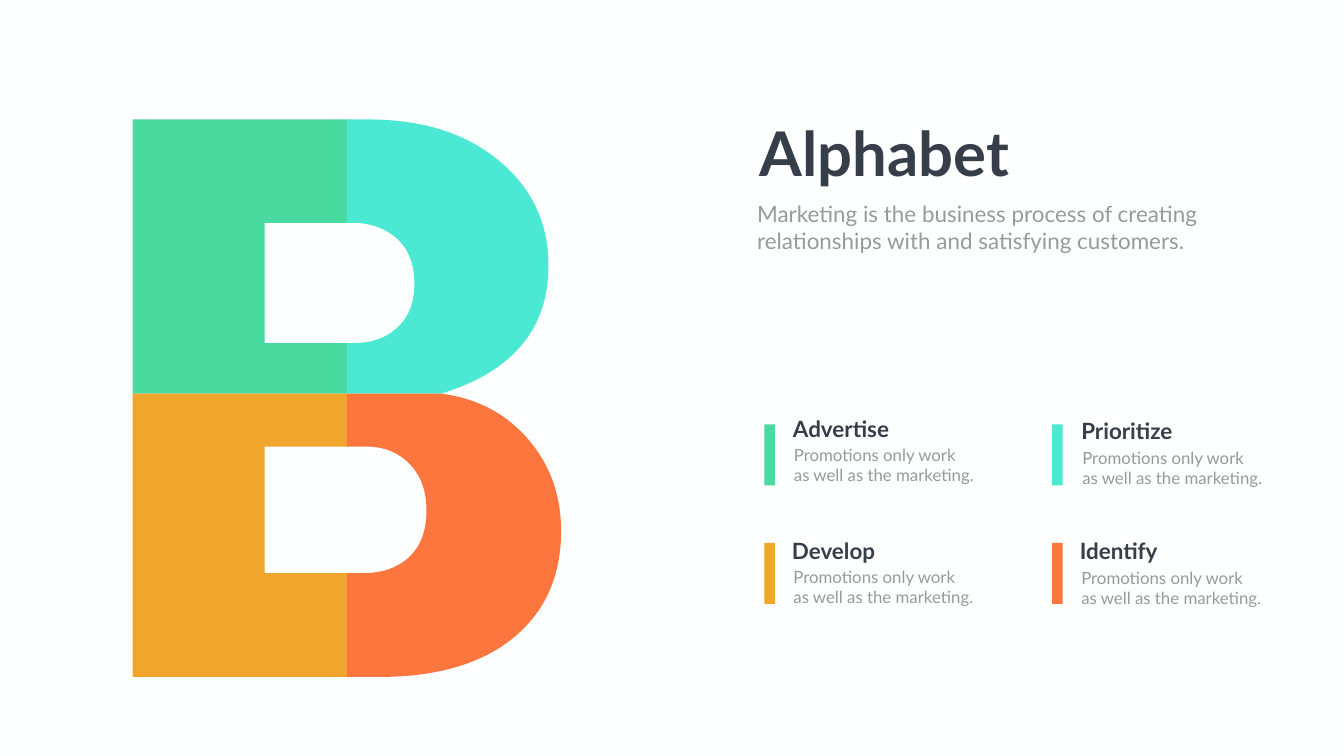
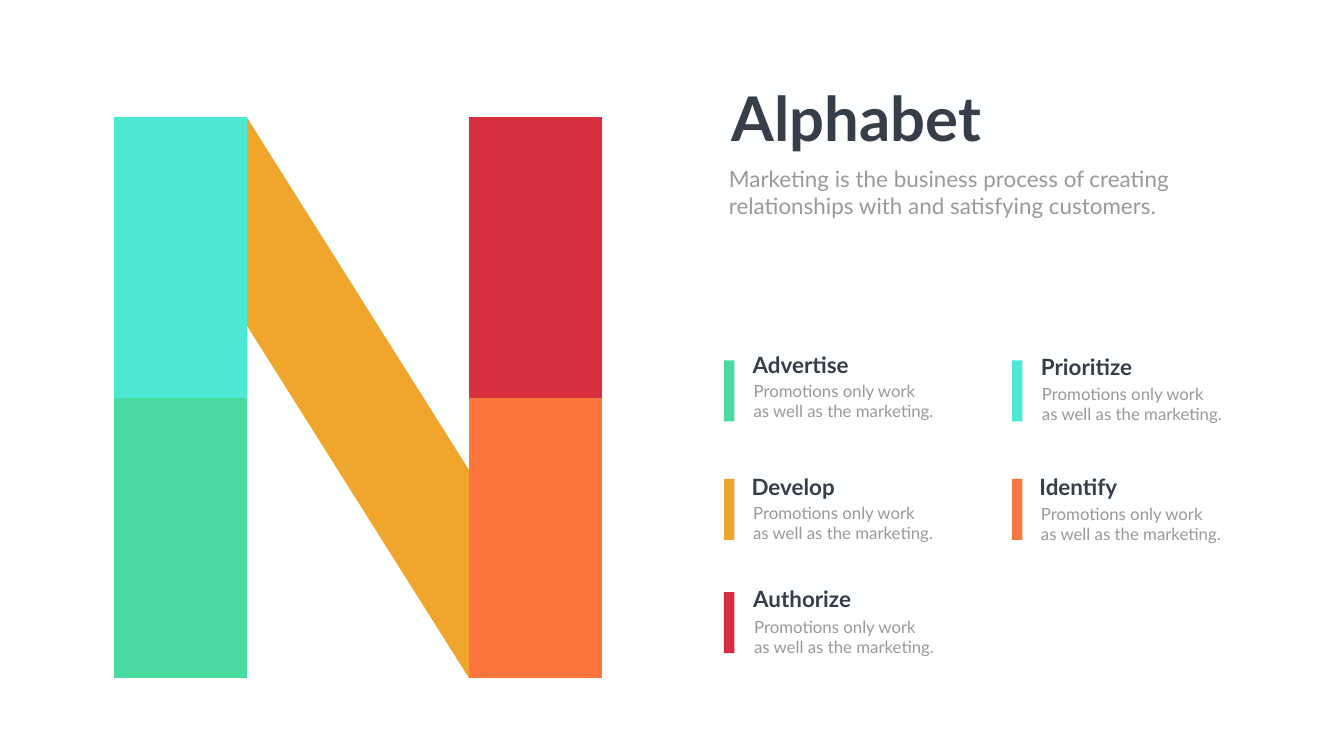
from lxml import etree
from pptx import Presentation
from pptx.dml.color import RGBColor
from pptx.enum.shapes import MSO_SHAPE
from pptx.enum.text import MSO_ANCHOR, MSO_AUTO_SIZE, PP_ALIGN
from pptx.oxml.ns import qn
from pptx.util import Pt

RECTANGLE = MSO_SHAPE.RECTANGLE
TOP = MSO_ANCHOR.TOP
NO_AUTOFIT = MSO_AUTO_SIZE.NONE
LEFT, CENTER = PP_ALIGN.LEFT, PP_ALIGN.CENTER

PX = 9144  # 100 px to the inch
TITLE_ONLY = 5

PAPER, INK, GREY = "FEFFFF", "353E49", "989998"
GREEN, AQUA, AMBER = "48DA9F", "4BE8D4", "F0A52C"
ORANGE, RED = "FD763E", "D92E3D"

INTRO = ["Marketing is the business process of creating",
         "relationships with and satisfying customers."]
DETAIL = ["Promotions only work", "as well as the marketing."]

# Heading, colour, column, row, heading offset and detail offset from the bar
TOPICS = [
    ("Advertise", GREEN, 0, 0, (47, -24), (49, 36)),
    ("Prioritize", AQUA, 1, 0, (48, -20), (50, 41)),
    ("Develop", AMBER, 0, 1, (45, -17), (48, 43)),
    ("Identify", ORANGE, 1, 1, (45, -17), (48, 44)),
    ("Authorize", RED, 0, 2, (48, -19), (50, 43)),
]
COLUMN_STEP = 571
ROW_OFFSETS = [0, 235, 460]
BAR_WIDTH, BAR_HEIGHT = 21, 121

# Letter outlines: pairs are corners, sixes are Bézier curves
LETTER_B = [
    (AQUA, [(688, 442), (697, 442),
            (734, 442, 765, 453, 787, 473), (810, 493, 822, 524, 822, 563),
            (822, 602, 810, 631, 787, 651), (765, 672, 734, 681, 697, 681),
            (688, 681), (688, 781), (875, 781),
            (1018, 737, 1088, 652, 1088, 527),
            (1088, 444, 1056, 374, 991, 320), (926, 265, 839, 237, 730, 237),
            (688, 237)]),
    (ORANGE, [(688, 781), (878, 781), (881, 782),
              (951, 792, 1006, 823, 1049, 873),
              (1092, 924, 1113, 984, 1113, 1054),
              (1113, 1142, 1082, 1213, 1019, 1265),
              (957, 1316, 868, 1343, 756, 1343),
              (688, 1343), (688, 1137), (722, 1137),
              (758, 1137, 788, 1127, 812, 1105),
              (835, 1083, 846, 1052, 846, 1013),
              (846, 974, 835, 944, 813, 921), (791, 898, 762, 886, 726, 886),
              (688, 886)]),
    (GREEN, [(263, 781), (688, 781), (688, 681), (525, 681),
             (525, 442), (688, 442), (688, 237), (263, 237)]),
    (AMBER, [(263, 781), (263, 1343), (688, 1343), (688, 1137),
             (525, 1137), (525, 886), (688, 886), (688, 781)]),
]
LETTER_N = [(AMBER, [(489, 232), (489, 645), (930, 1345), (930, 932)])]
for colour, left, top, bottom in [(AQUA, 226, 232, 790), (GREEN, 226, 790, 1345),
                                  (RED, 930, 232, 790), (ORANGE, 930, 790, 1345)]:
    right = left + 264
    LETTER_N.append((colour, [(left, top), (right, top),
                              (right, bottom), (left, bottom)]))

# Letter, title corner, first bar corner, number of topics
PAGES = [
    (LETTER_B, (1492, 223), (1516, 842), 4),
    (LETTER_N, (1436, 154), (1436, 715), 5),
]


def paint(fill, colour):
    fill.solid()
    fill.fore_color.rgb = RGBColor.from_string(colour)


def write(box, place, lines, size, colour, bold=False, align=LEFT, wrap=True):
    box.left, box.top, box.width, box.height = [value * PX for value in place]
    frame = box.text_frame
    frame.text = "\n".join(lines)
    frame.word_wrap = wrap
    frame.auto_size = NO_AUTOFIT
    frame.vertical_anchor = TOP
    for paragraph in frame.paragraphs:
        paragraph.alignment = align
        paragraph.font.name = "Lato"
        paragraph.font.size = Pt(size)
        paragraph.font.bold = bold
        paint(paragraph.font.fill, colour)


deck = Presentation()
deck.slide_width, deck.slide_height = 2666 * PX, 1500 * PX

for letter, (title_x, title_y), (bars_x, bars_y), topic_count in PAGES:
    slide = deck.slides.add_slide(deck.slide_layouts[TITLE_ONLY])
    shapes = slide.shapes
    paint(slide.background.fill, PAPER)
    colored_parts = []

    # Large letter
    for colour, outline in letter:
        corners = [step[-2:] for step in outline]
        builder = shapes.build_freeform(*corners[0], scale=PX)
        builder.add_line_segments(corners[1:], close=True)
        piece = builder.convert_to_shape()
        colored_parts.append((piece, colour))

        # Bend the curved sides by adding their two control points
        min_x = min(x for x, y in corners)
        min_y = min(y for x, y in corners)
        sides = list(piece.element.iter(qn("a:lnTo")))
        for side, step in zip(sides, outline[1:]):
            if len(step) == 6:
                side.tag = qn("a:cubicBezTo")
                for i in (0, 1):
                    x, y = step[2 * i:2 * i + 2]
                    side.insert(i, etree.Element(qn("a:pt"), x=str(x - min_x),
                                                 y=str(y - min_y)))

    # Title and introduction
    write(shapes.title, (title_x, title_y, 525, 158), ["Alphabet"], 88, INK,
          bold=True, align=CENTER, wrap=False)
    write(shapes.add_textbox(0, 0, 0, 0), (title_x, title_y + 169, 908, 118),
          INTRO, 32, GREY)

    # Topics, each beside a coloured bar
    for heading, colour, column, row, heading_shift, detail_shift in TOPICS[:topic_count]:
        x = bars_x + column * COLUMN_STEP
        y = bars_y + ROW_OFFSETS[row]
        bar = shapes.add_shape(RECTANGLE, x * PX, y * PX, BAR_WIDTH * PX, BAR_HEIGHT * PX)
        colored_parts.append((bar, colour))
        for (dx, dy), size, lines, style in [
                (heading_shift, (221, 64), [heading], (32, INK, True)),
                (detail_shift, (382, 91), DETAIL, (24, GREY))]:
            write(shapes.add_textbox(0, 0, 0, 0), (x + dx, y + dy, *size), lines, *style)

    # Flat colour for the letter and the bars
    for part, colour in colored_parts:
        paint(part.fill, colour)
        part.line.fill.background()
        part.shadow.inherit = False

deck.save("out.pptx")
